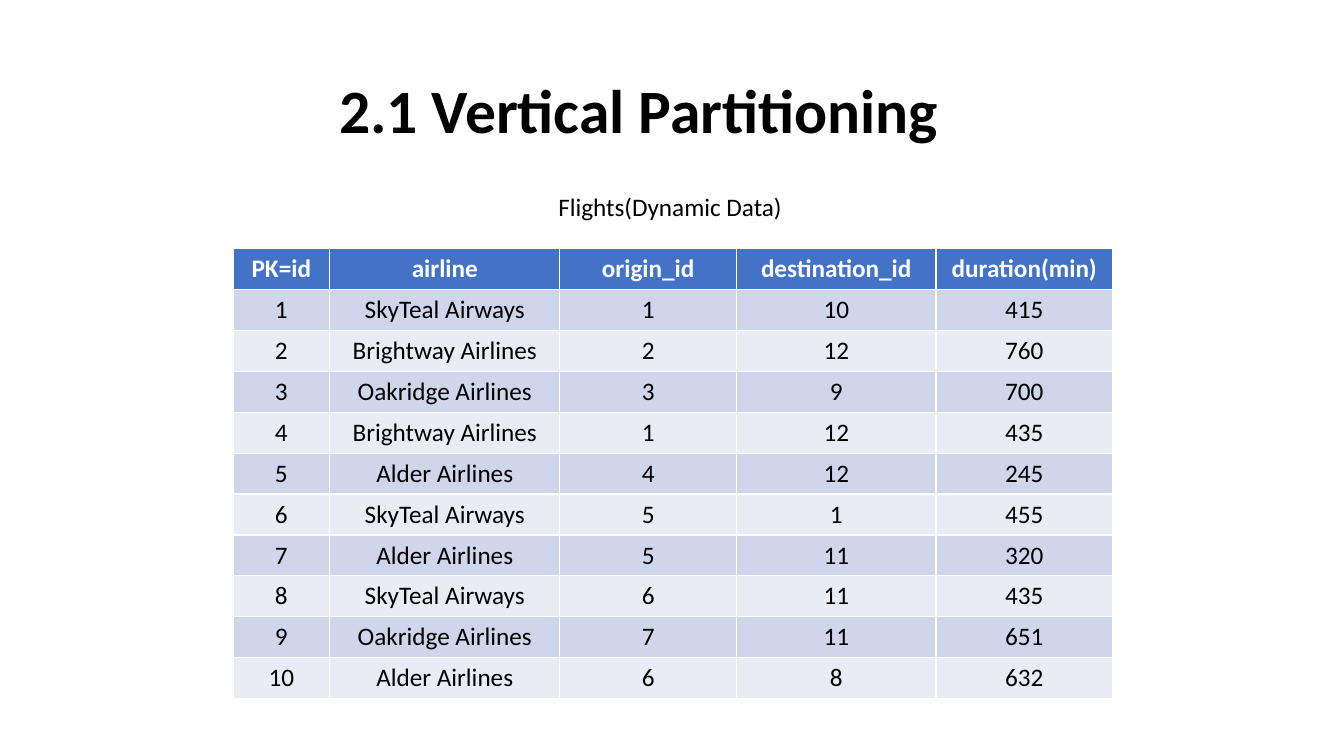
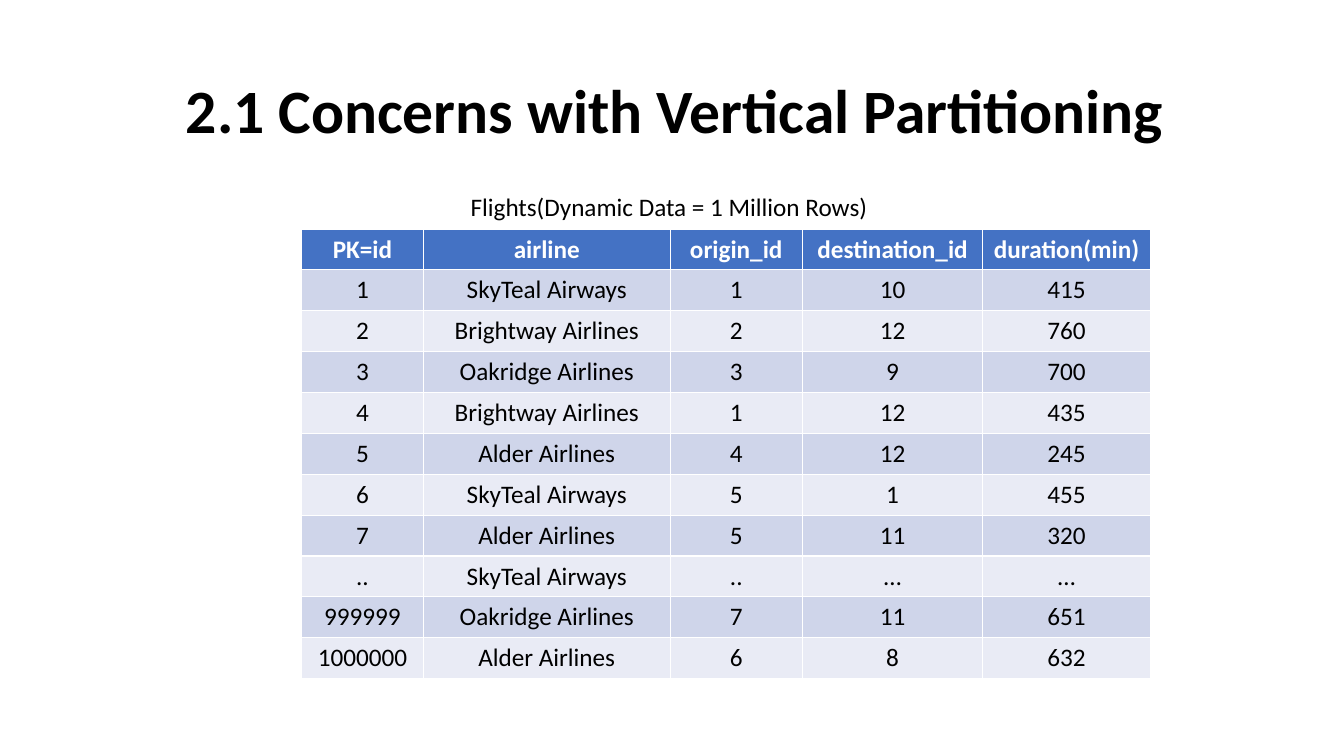
from dataclasses import dataclass

from pptx import Presentation
from pptx.dml.color import RGBColor
from pptx.enum.text import MSO_ANCHOR, MSO_AUTO_SIZE, PP_ALIGN
from pptx.util import Cm, Pt

LEFT, CENTER = PP_ALIGN.LEFT, PP_ALIGN.CENTER
MIDDLE = MSO_ANCHOR.MIDDLE
FIXED_SIZE, GROW = MSO_AUTO_SIZE.NONE, MSO_AUTO_SIZE.SHAPE_TO_FIT_TEXT
TITLE_ONLY = 5

# Content
HEADER = ("PK=id", "airline", "origin_id", "destination_id", "duration(min)")
FIRST_FLIGHTS = [
    ("1", "SkyTeal Airways", "1", "10", "415"),
    ("2", "Brightway Airlines", "2", "12", "760"),
    ("3", "Oakridge Airlines", "3", "9", "700"),
    ("4", "Brightway Airlines", "1", "12", "435"),
    ("5", "Alder Airlines", "4", "12", "245"),
    ("6", "SkyTeal Airways", "5", "1", "455"),
    ("7", "Alder Airlines", "5", "11", "320"),
]
# Lengths are in centimetres
SLIDES = [
    {
        "title": "2.1 Vertical Partitioning",
        "title_indent": 5.96,
        "caption": "Flights(Dynamic Data)",
        "caption_left": 13.82,
        "caption_width": 6.22,
        "table_at": (5.87, 6.27),
        "columns": (2.44, 5.8, 4.45, 5.03, 4.45),
        "last_flights": [
            ("8", "SkyTeal Airways", "6", "11", "435"),
            ("9", "Oakridge Airlines", "7", "11", "651"),
            ("10", "Alder Airlines", "6", "8", "632"),
        ],
    },
    {
        "title": "2.1 Concerns with Vertical Partitioning",
        "title_indent": 2.1,
        "caption": "Flights(Dynamic Data = 1 Million Rows)",
        "caption_left": 11.61,
        "caption_width": 10.62,
        "table_at": (7.6, 5.77),
        "columns": (3.07, 6.22, 3.33, 4.55, 4.22),
        "last_flights": [
            ("..", "SkyTeal Airways", "..", "…", "…"),
            ("999999", "Oakridge Airlines", "7", "11", "651"),
            ("1000000", "Alder Airlines", "6", "8", "632"),
        ],
    },
]


@dataclass(frozen=True)
class Theme:
    font: str = "Calibri"
    title_size: int = 44
    text_size: int = 18
    text: str = "000000"
    header_text: str = "FFFFFF"
    header_fill: str = "4472C4"
    row_fills: tuple = ("CFD5EA", "E9EBF5")


THEME = Theme()
TITLE_BOX = (2.33, 1.01, 29.21, 3.68)
CAPTION_TOP = 4.7
ROW_HEIGHT = 1.03


def add_run(paragraph, text, size=THEME.text_size, color=THEME.text, bold=False):
    run = paragraph.add_run()
    run.text = text
    run.font.name = THEME.font
    run.font.size = Pt(size)
    run.font.bold = bold
    run.font.color.rgb = RGBColor.from_string(color)


def add_title(slide, text, indent):
    title = slide.shapes.title
    title.left, title.top, title.width, title.height = map(Cm, TITLE_BOX)
    frame = title.text_frame
    frame.auto_size = FIXED_SIZE
    frame.vertical_anchor = MIDDLE
    paragraph = frame.paragraphs[0]
    paragraph.alignment = LEFT
    paragraph.line_spacing = 0.9
    # Left margin of the paragraph
    paragraph_properties = paragraph._p.get_or_add_pPr()
    paragraph_properties.set("marL", str(Cm(indent)))
    paragraph_properties.set("indent", "0")
    add_run(paragraph, text, THEME.title_size, bold=True)


def add_caption(slide, text, left, width):
    caption = slide.shapes.add_textbox(
        Cm(left), Cm(CAPTION_TOP), Cm(width), Cm(ROW_HEIGHT))
    frame = caption.text_frame
    frame.word_wrap = False
    frame.auto_size = GROW
    add_run(frame.paragraphs[0], text)


def add_flight_table(slide, position, columns, flights):
    rows = [HEADER, *flights]
    left, top = position
    # The default table style supplies the white cell borders
    table = slide.shapes.add_table(
        len(rows), len(columns), Cm(left), Cm(top),
        Cm(sum(columns)), Cm(ROW_HEIGHT * len(rows))).table
    for column, width in zip(table.columns, columns):
        column.width = Cm(width)
    for row_index, values in enumerate(rows):
        table.rows[row_index].height = Cm(ROW_HEIGHT)
        is_header = row_index == 0
        fill = THEME.header_fill if is_header else THEME.row_fills[(row_index - 1) % 2]
        color = THEME.header_text if is_header else THEME.text
        for column_index, value in enumerate(values):
            cell = table.cell(row_index, column_index)
            cell.fill.solid()
            cell.fill.fore_color.rgb = RGBColor.from_string(fill)
            paragraph = cell.text_frame.paragraphs[0]
            paragraph.alignment = CENTER
            add_run(paragraph, value, color=color, bold=is_header)


def main():
    presentation = Presentation()
    presentation.slide_width = Cm(33.87)
    presentation.slide_height = Cm(19.05)
    layout = presentation.slide_layouts[TITLE_ONLY]
    for content in SLIDES:
        slide = presentation.slides.add_slide(layout)
        add_title(slide, content["title"], content["title_indent"])
        add_flight_table(slide, content["table_at"], content["columns"],
                         FIRST_FLIGHTS + content["last_flights"])
        add_caption(slide, content["caption"],
                    content["caption_left"], content["caption_width"])
    presentation.save("out.pptx")


if __name__ == "__main__":
    main()
